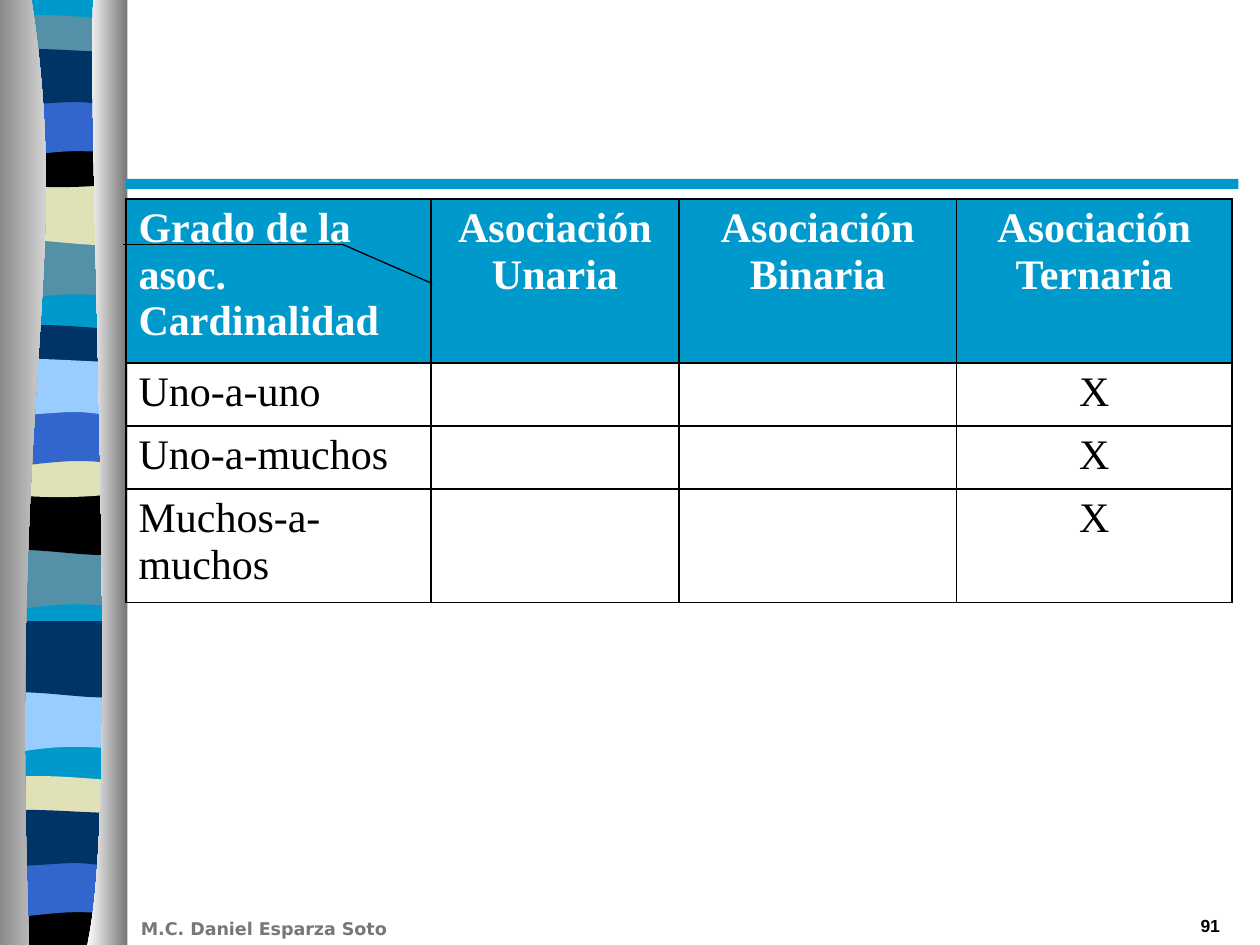
from lxml import etree
from pptx import Presentation
from pptx.dml.color import RGBColor
from pptx.enum.shapes import MSO_CONNECTOR, MSO_SHAPE
from pptx.enum.text import PP_ALIGN
from pptx.oxml.ns import qn
from pptx.util import Inches, Pt

LEFT, MID, RIGHT = PP_ALIGN.LEFT, PP_ALIGN.CENTER, PP_ALIGN.RIGHT
STRAIGHT = MSO_CONNECTOR.STRAIGHT
RECT = MSO_SHAPE.RECTANGLE

WHITE = RGBColor(0xFF, 0xFF, 0xFF)
BLACK = RGBColor(0, 0, 0)
GRAY = RGBColor(0x77, 0x77, 0x77)
SHADE = RGBColor(0x76, 0x76, 0x76)
TEAL = RGBColor(0x00, 0x99, 0xCC)
STEEL = RGBColor(0x54, 0x90, 0xA8)
CREAM = RGBColor(0xE1, 0xE1, 0xB7)
NAVY = RGBColor(0x00, 0x33, 0x66)
BLUE = RGBColor(0x33, 0x66, 0xCC)
SKY = RGBColor(0x99, 0xCC, 0xFF)

WIDE, HIGH = 10, 7.5
EDGE = 0.98

WAVES = {
    "dip": (1.69, [(EDGE, 0), (EDGE, 0.51), (0.27, 0.43, 0.13, 0.59, -0.05, 0.51), (-0.05, 0)]),
    "roll": (1.25, [(EDGE, -0.07), (EDGE, 0.51), (0.81, 0.59, 0.27, 0.45, -0.04, 0.51),
                    (-0.04, -0.07)]),
    "lens": (0, [(EDGE, 0), (EDGE, 0.29), (0.81, 0.34, 0.13, 0.34, -0.05, 0.29), (-0.05, 0),
                 (0.02, -0.05, 0.18, -0.04, 0.35, -0.04), (0.52, -0.04, 0.85, -0.01, EDGE, 0)]),
    "sag": (0.92, [(EDGE, 0), (EDGE, 0.36), (0.81, 0.42, 0.13, 0.42, -0.04, 0.36), (-0.04, 0),
                   (0.59, 0.05, 0.77, 0, EDGE, 0)]),
    "arch": (0.58, [(EDGE, 0), (EDGE, 0.51), (0.82, 0.46, 0.76, 0.46, 0.59, 0.46),
                    (0.42, 0.46, 0.11, 0.51, -0.04, 0.51), (-0.04, 0)]),
    "flow": (0.25, [(EDGE, 0), (EDGE, 0.4), (0.92, 0.45, 0.76, 0.4, 0.59, 0.4),
                    (0.42, 0.4, 0.06, 0.45, -0.05, 0.4), (-0.05, 0),
                    (0.1, -0.05, 0.65, 0, 0.82, 0)]),
}
GROUPS = [
    (0.16, {"dip": STEEL, "roll": CREAM, "lens": STEEL, "sag": BLACK, "arch": BLUE, "flow": NAVY}),
    (2.62, {"dip": STEEL, "roll": BLACK, "lens": NAVY, "sag": CREAM, "arch": BLUE, "flow": SKY}),
    (3.75, {"dip": SKY, "roll": NAVY}),
    (6.2, {"lens": CREAM, "sag": BLACK, "arch": BLUE, "flow": NAVY}),
]
BASE = [(EDGE, 0), (EDGE, 7.47), (-0.05, 7.47), (-0.05, 0)]
PILLARS = [
    ([(0.25, 0), (0.58, 2.16, 0.07, 2.96, 0.23, HIGH), (-0.1, HIGH), (-0.1, 0)],
     (SHADE, WHITE)),
    ([(0.74, 0), (0.69, 1.25, 0.96, 6.46, 0.69, HIGH), (1.01, HIGH), (1.01, 0)],
     (WHITE, SHADE)),
]

HEADS = ["Grado de la asoc.\nCardinalidad", "Asociación Unaria",
         "Asociación Binaria", "Asociación Ternaria"]
NAMES = ["Uno-a-uno", "Uno-a-muchos", "Muchos-a-muchos"]
COLS = [2.42, 1.97, 2.2, 2.19]
ROWS = [1.3, 0.5, 0.5, 0.9]


def bend(shape, parts):
    lines = iter(list(shape._element.iter(qn("a:lnTo"))))
    for part in parts:
        first = next(lines)
        if len(part) == 6:
            first.tag
            curve = etree.Element(qn("a:cubicBezTo"))
            first.addprevious(curve)
            for line in (first, next(lines), next(lines)):
                curve.append(line[0])
                line.getparent().remove(line)


def outline(slide, box, path, top=0):
    x, y = box
    spots = [(Inches(x + part[i]), Inches(y + top + part[i + 1]))
             for part in path for i in range(0, len(part), 2)]
    pen = slide.shapes.build_freeform(*spots[0], scale=1.0)
    pen.add_line_segments(spots[1:], close=True)
    shape = pen.convert_to_shape()
    bend(shape, path[1:])
    shape.shadow.inherit = False
    shape.line.fill.background()
    return shape


def paint(shape, color):
    shape.fill.solid()
    shape.fill.fore_color.rgb = color


def bar(slide, box, color):
    shape = slide.shapes.add_shape(RECT, *map(Inches, box))
    shape.shadow.inherit = False
    paint(shape, color)
    shape.line.fill.background()


def ribbon(slide, box):
    paint(outline(slide, box, BASE), TEAL)
    for start, tones in GROUPS:
        for name, color in tones.items():
            drop, path = WAVES[name]
            paint(outline(slide, box, path, start + drop), color)
    for path, tones in PILLARS:
        fill = outline(slide, box, path).fill
        fill.gradient()
        fill.gradient_angle = 0
        for stop, color in zip(fill.gradient_stops, tones):
            stop.color.rgb = color


def style(para, size, face, color, bold, align=LEFT):
    para.alignment = align
    font = para.font
    font.size, font.name, font.bold = Pt(size), face, bold
    font.color.rgb = color


def label(slide, box, text, face, color, align):
    frame = slide.shapes.add_textbox(*map(Inches, box)).text_frame
    frame.word_wrap = True
    frame.text = text
    style(frame.paragraphs[0], 10, face, color, True, align)


def border(cell):
    props = cell._tc.get_or_add_tcPr()
    for i, side in enumerate(("lnL", "lnR", "lnT", "lnB")):
        line = etree.Element(qn("a:" + side), w=str(Pt(1)))
        fill = etree.SubElement(line, qn("a:solidFill"))
        etree.SubElement(fill, qn("a:srgbClr"), val=str(BLACK))
        props.insert(i, line)


def matrix(slide, box):
    x, y = box
    size = (x, y, sum(COLS), sum(ROWS))
    table = slide.shapes.add_table(len(ROWS), len(COLS), *map(Inches, size)).table
    table.first_row = table.horz_banding = False
    for col, width in zip(table.columns, COLS):
        col.width = Inches(width)
    for row, height in zip(table.rows, ROWS):
        row.height = Inches(height)
    data = [HEADS] + [[name, "", "", "X"] for name in NAMES]
    for r, texts in enumerate(data):
        for c, text in enumerate(texts):
            cell = table.cell(r, c)
            cell.text = text
            if r == 0:
                paint(cell, TEAL)
            else:
                cell.fill.background()
            border(cell)
            for para in cell.text_frame.paragraphs:
                style(para, 24, "Times New Roman", BLACK if r else WHITE,
                      r == 0, MID if c else LEFT)


def split(slide, box):
    x, y, wide, high = box
    spots = [(x, y), (x + wide * 0.71, y), (x + wide, y + high)]
    for a, b in zip(spots, spots[1:]):
        line = slide.shapes.add_connector(STRAIGHT, *map(Inches, a + b))
        line.line.color.rgb = BLACK
        line.line.width = Pt(0.75)
        etree.SubElement(line._element.spPr, qn("a:effectLst"))


def main():
    deck = Presentation()
    deck.slide_width, deck.slide_height = Inches(WIDE), Inches(HIGH)
    slide = deck.slides.add_slide(deck.slide_layouts[6])
    ribbon(slide, (0, 0))
    bar(slide, (1, 1.42, 8.83, 0.08), TEAL)
    label(slide, (1.02, 7.24, 2.83, 0.27), "M.C. Daniel Esparza Soto", "DejaVu Sans", GRAY, LEFT)
    matrix(slide, (1, 1.58))
    label(slide, (7.7, 7.21, 2.08, 0.26), "91", "Arial", BLACK, RIGHT)
    split(slide, (0.98, 1.94, 2.45, 0.31))
    deck.save("out.pptx")


if __name__ == "__main__":
    main()
